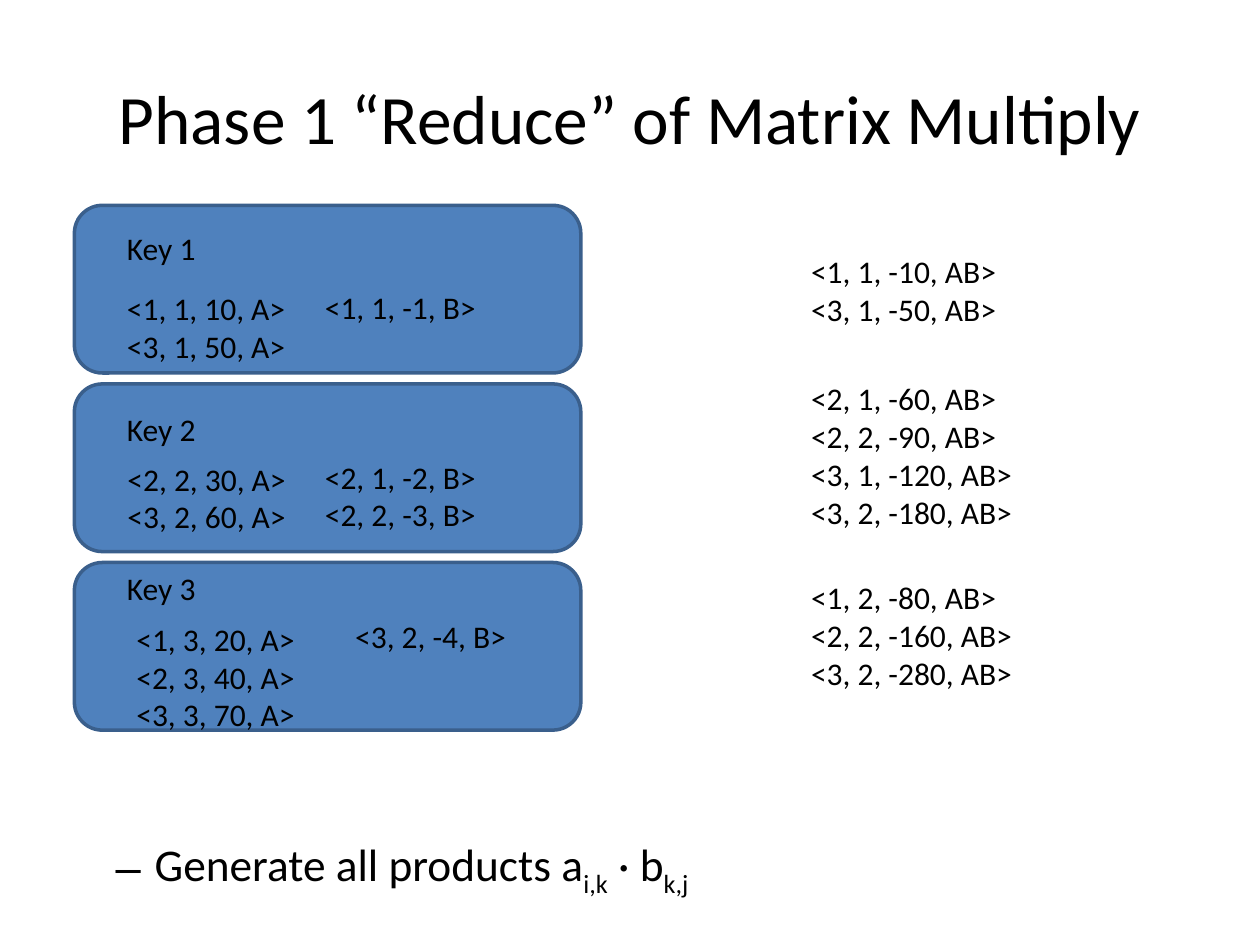
from lxml import etree
from pptx import Presentation
from pptx.dml.color import RGBColor
from pptx.enum.shapes import MSO_SHAPE
from pptx.enum.text import MSO_ANCHOR, MSO_AUTO_SIZE, PP_ALIGN
from pptx.oxml.ns import qn
from pptx.util import Cm, Pt

BLACK = RGBColor(0x00, 0x00, 0x00)
BLUE = RGBColor(0x4F, 0x81, 0xBD)
EDGE = RGBColor(0x3A, 0x5F, 0x8C)
ROUND = MSO_SHAPE.ROUNDED_RECTANGLE
MIDDLE = MSO_ANCHOR.MIDDLE
FIT = MSO_AUTO_SIZE.SHAPE_TO_FIT_TEXT
CENTER = PP_ALIGN.CENTER
FONT = "Calibri"

LEFT, TOP, PITCH = 1.5, 4.14, 3.6
WIDE, HIGH = 10.21, 3.38

GROUPS = [
    [
        (0.81, 0.36, 1.9, ["Key 1"]),
        (0.81, 1.57, 3.73, ["<1, 1, 10, A>", "<3, 1, 50, A>"]),
        (4.8, 1.55, 3.6, ["<1, 1, -1, B>"]),
        (14.6, 0.81, 4.29, ["<1, 1, -10, AB>", "<3, 1, -50, AB>"]),
    ],
    [
        (0.81, 0.4, 1.9, ["Key 2"]),
        (0.82, 1.4, 3.73, ["<2, 2, 30, A>", "<3, 2, 60, A>"]),
        (4.8, 1.36, 3.6, ["<2, 1, -2, B>", "<2, 2, -3, B>"]),
        (14.6, -0.22, 4.62, ["<2, 1, -60, AB>", "<2, 2, -90, AB>",
                             "<3, 1, -120, AB>", "<3, 2, -180, AB>"]),
    ],
    [
        (0.81, 0, 1.9, ["Key 3"]),
        (1, 1.03, 3.73, ["<1, 3, 20, A>", "<2, 3, 40, A>", "<3, 3, 70, A>"]),
        (5.41, 0.98, 3.6, ["<3, 2, -4, B>"]),
        (14.6, 0.19, 4.62, ["<1, 2, -80, AB>", "<2, 2, -160, AB>",
                            "<3, 2, -280, AB>"]),
    ],
]


def style(run, size):
    """Give a run its font, size and colour."""
    run.font.name = FONT
    run.font.size = Pt(size)
    run.font.color.rgb = BLACK


def add_text(slide, x, y, w, h, text, size):
    """Place a text box with one paragraph per line and return its frame."""
    frame = slide.shapes.add_textbox(Cm(x), Cm(y), Cm(w), Cm(h)).text_frame
    frame.text = text
    for para in frame.paragraphs:
        for run in para.runs:
            style(run, size)
    return frame


def add_title(slide, x, y, w, h):
    """Place the centred title."""
    frame = add_text(slide, x, y, w, h,
                     "Phase 1 “Reduce” of Matrix Multiply", 39.6)
    frame.word_wrap = True
    frame.vertical_anchor = MIDDLE
    frame.paragraphs[0].alignment = CENTER


def add_group(slide, x, y, w, h, parts):
    """Place one key's box with its inputs inside and its products beside."""
    box = slide.shapes.add_shape(ROUND, Cm(x), Cm(y), Cm(w), Cm(h))
    box.shadow.inherit = False
    box.fill.solid()
    box.fill.fore_color.rgb = BLUE
    box.line.color.rgb = EDGE
    box.line.width = Pt(2)
    for dx, dy, width, lines in parts:
        frame = add_text(slide, x + dx, y + dy, width,
                         0.25 + 0.77 * len(lines), "\n".join(lines), 18)
        frame.word_wrap = False
        frame.auto_size = FIT


def add_note(slide, x, y, w, h):
    """Place the dashed line on products with its subscripts."""
    frame = add_text(slide, x, y, w, h, "", 25.9)
    frame.word_wrap = True
    para = frame.paragraphs[0]
    props = para._p.get_or_add_pPr()
    props.set("marL", str(Cm(2.06)))
    props.set("indent", str(Cm(-0.79)))
    etree.SubElement(props, qn("a:buFont")).set("typeface", "Arial")
    etree.SubElement(props, qn("a:buChar")).set("char", "–")
    for text, low in [("Generate all products a", False), ("i,k", True),
                      (" · b", False), ("k,j", True)]:
        run = para.add_run()
        run.text = text
        style(run, 25.9)
        if low:
            run.font._element.set("baseline", "-25000")


def main():
    """Build the slide and save it."""
    deck = Presentation()
    deck.slide_width, deck.slide_height = Cm(25.4), Cm(19.05)
    slide = deck.slides.add_slide(deck.slide_layouts[6])
    add_title(slide, 1.27, 0.76, 22.86, 3.18)
    add_note(slide, 0.81, 16.74, 23.06, 1.17)
    for row, parts in enumerate(GROUPS):
        add_group(slide, LEFT, TOP + row * PITCH, WIDE, HIGH, parts)
    deck.save("out.pptx")


if __name__ == "__main__":
    main()
